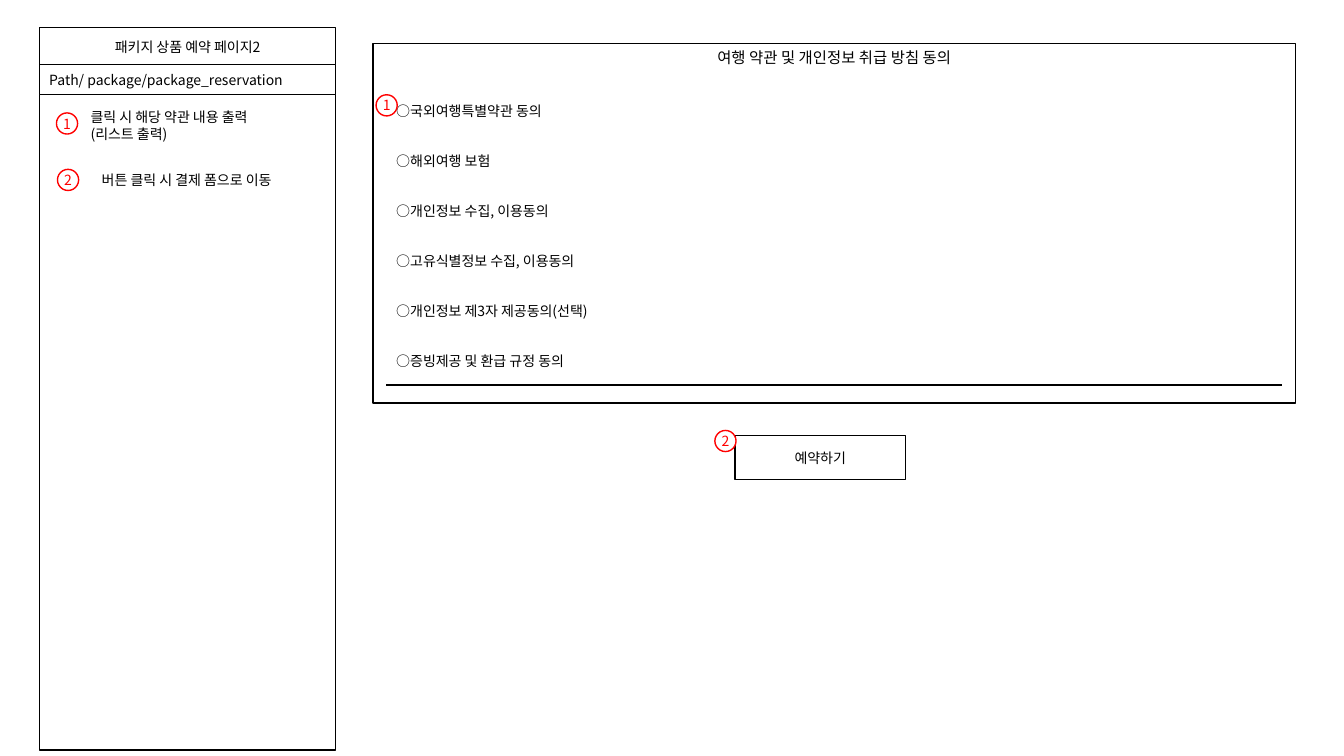
"""Build the wireframe slide for the package reservation page."""
from lxml import etree
from pptx import Presentation
from pptx.dml.color import RGBColor
from pptx.enum.shapes import MSO_SHAPE as Shape
from pptx.enum.text import MSO_ANCHOR as Anchor, MSO_AUTO_SIZE as AutoSize, PP_ALIGN as Align
from pptx.oxml.ns import qn
from pptx.util import Inches, Pt

FONT = "Noto Sans CJK KR"
BLACK, WHITE, RED = "000000", "FFFFFF", "FF0000"

PAGE_TITLE = "패키지 상품 예약 페이지2"
PAGE_PATH = "Path/ package/package_reservation"
PANEL_TITLE = "여행 약관 및 개인정보 취급 방침 동의"
BUTTON_LABEL = "예약하기"
TERMS = [
    "○국외여행특별약관 동의",
    "○해외여행 보험",
    "○개인정보 수집, 이용동의",
    "○고유식별정보 수집, 이용동의",
    "○개인정보 제3자 제공동의(선택)",
    "○증빙제공 및 환급 규정 동의",
]
NOTES = [
    ("클릭 시 해당 약관 내용 출력\n(리스트 출력)", (0.8, 1.03, 1.99, 0.44), Align.LEFT),
    ("버튼 클릭 시 결제 폼으로 이동", (0.72, 1.65, 2.26, 0.27), Align.CENTER),
]
MARKERS = [("1", 0.56, 1.12), ("2", 0.57, 1.68), ("1", 3.73, 0.94), ("2", 7.09, 4.27)]
MARKER_SIZE = 0.21
SIDEBAR_LEFT, SIDEBAR_WIDTH = 0.39, 2.94
TERMS_LEFT, TERMS_TOP, TERMS_WIDTH, TERMS_HEIGHT = 3.83, 0.85, 8.89, 2.97


def rgb(color):
    return RGBColor.from_string(color)


def inches(box):
    return [Inches(length) for length in box]


def write(frame, text, align=Align.CENTER, anchor=Anchor.MIDDLE, size=10, color=BLACK):
    frame.text = text
    frame.word_wrap = True
    frame.vertical_anchor = anchor
    for paragraph in frame.paragraphs:
        paragraph.alignment = align
        for run in paragraph.runs:
            run.font.name = FONT
            run.font.size = Pt(size)
            run.font.color.rgb = rgb(color)
            etree.SubElement(run.font._element, qn("a:ea"), typeface=FONT)


def outline(shape, color=BLACK):
    shape.fill.solid()
    shape.fill.fore_color.rgb = rgb(WHITE)
    shape.line.color.rgb = rgb(color)
    shape.line.width = Pt(1)


def add_box(slide, box, text="", kind=Shape.RECTANGLE, line=BLACK, **style):
    shape = slide.shapes.add_shape(kind, *inches(box))
    shape.shadow.inherit = False
    outline(shape, line)
    if text:
        write(shape.text_frame, text, **style)
    return shape


def add_title(slide, box):
    title = slide.shapes.title
    title.left, title.top, title.width, title.height = inches(box)
    outline(title)
    write(title.text_frame, PAGE_TITLE)
    title.text_frame.auto_size = AutoSize.NONE


def underline_cell(cell):
    cell.fill.background()
    properties = cell._tc.get_or_add_tcPr()
    for position, side in enumerate(("lnL", "lnR", "lnT", "lnB")):
        border = etree.Element(qn(f"a:{side}"), w=str(Pt(1)))
        if side == "lnB":
            fill = etree.SubElement(border, qn("a:solidFill"))
            etree.SubElement(fill, qn("a:srgbClr"), val=BLACK)
        else:
            etree.SubElement(border, qn("a:noFill"))
        properties.insert(position, border)


def add_terms(slide):
    box = inches((TERMS_LEFT, TERMS_TOP, TERMS_WIDTH, TERMS_HEIGHT))
    table = slide.shapes.add_table(len(TERMS), 1, *box).table
    table.first_row = table.horz_banding = False
    for row, term in zip(table.rows, TERMS):
        row.height = Inches(TERMS_HEIGHT / len(TERMS))
        cell = row.cells[0]
        write(cell.text_frame, term, Align.LEFT)
        cell.vertical_anchor = Anchor.MIDDLE
        underline_cell(cell)


def add_note(slide, text, box, align):
    frame = slide.shapes.add_textbox(*inches(box)).text_frame
    write(frame, text, align, Anchor.TOP)
    frame.auto_size = AutoSize.SHAPE_TO_FIT_TEXT


def add_marker(slide, number, left, top):
    box = (left, top, MARKER_SIZE, MARKER_SIZE)
    frame = add_box(slide, box, number, Shape.OVAL, RED, color=RED).text_frame
    frame.margin_left = frame.margin_right = frame.margin_top = frame.margin_bottom = 0


def main():
    presentation = Presentation()
    presentation.slide_width, presentation.slide_height = Inches(13.33), Inches(7.5)
    slide = presentation.slides.add_slide(presentation.slide_layouts[5])
    add_title(slide, (SIDEBAR_LEFT, 0.27, SIDEBAR_WIDTH, 0.39))
    add_box(slide, (SIDEBAR_LEFT, 0.85, SIDEBAR_WIDTH, 6.59))
    add_box(slide, (3.7, 0.43, 9.15, 3.57), PANEL_TITLE, anchor=Anchor.TOP, size=11)
    add_terms(slide)
    add_box(slide, (7.29, 4.32, 1.69, 0.44), BUTTON_LABEL)
    add_box(slide, (SIDEBAR_LEFT, 0.64, SIDEBAR_WIDTH, 0.3), PAGE_PATH, align=Align.LEFT)
    for note in NOTES:
        add_note(slide, *note)
    for marker in MARKERS:
        add_marker(slide, *marker)
    presentation.save("out.pptx")


if __name__ == "__main__":
    main()
